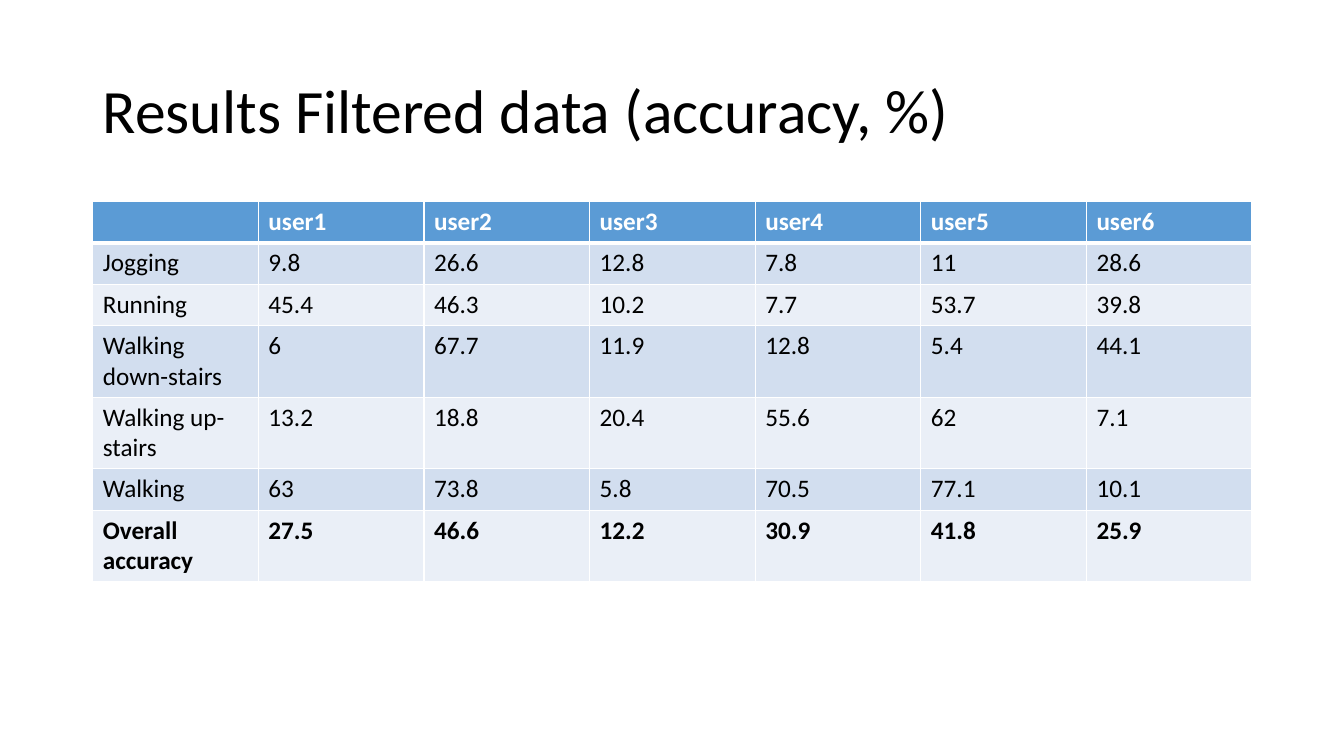
from dataclasses import dataclass

from lxml import etree
from pptx import Presentation
from pptx.dml.color import RGBColor
from pptx.enum.text import MSO_ANCHOR, PP_ALIGN
from pptx.oxml.ns import qn
from pptx.util import Inches, Pt

LEFT = PP_ALIGN.LEFT
MIDDLE = MSO_ANCHOR.MIDDLE
TITLE_ONLY = 5


@dataclass(frozen=True)
class Theme:
    """Colours, font and sizes of the slide."""
    font: str = "Calibri"
    ink: str = "000000"
    white: str = "FFFFFF"
    head: str = "5B9BD5"
    bands: tuple = ("D2DEEF", "EAEFF7")
    title: int = 44
    body: int = 18
    thin: int = 1
    thick: int = 3


THEME = Theme()

ROWS = [
    ["", *(f"user{n}" for n in range(1, 7))],
    ["Jogging", "9.8", "26.6", "12.8", "7.8", "11", "28.6"],
    ["Running", "45.4", "46.3", "10.2", "7.7", "53.7", "39.8"],
    ["Walking down-stairs", "6", "67.7", "11.9", "12.8", "5.4", "44.1"],
    ["Walking up-stairs", "13.2", "18.8", "20.4", "55.6", "62", "7.1"],
    ["Walking", "63", "73.8", "5.8", "70.5", "77.1", "10.1"],
    ["Overall accuracy", "27.5", "46.6", "12.2", "30.9", "41.8", "25.9"],
]


def style(par, size, color, bold=False):
    """Format the runs of a paragraph."""
    par.alignment = LEFT
    for run in par.runs:
        font = run.font
        font.name, font.size, font.bold = THEME.font, Pt(size), bold
        font.color.rgb = RGBColor.from_string(color)


def add_title(slide, text):
    """Place and format the title."""
    title = slide.shapes.title
    title.left, title.top = Inches(0.92), Inches(0.4)
    title.width, title.height = Inches(11.5), Inches(1.45)
    frame = title.text_frame
    frame.text = text
    frame.vertical_anchor = MIDDLE
    par = frame.paragraphs[0]
    par.line_spacing = 0.9
    style(par, THEME.title, THEME.ink)


def set_edges(cell, top, bottom):
    """Draw the white borders of a cell."""
    props = cell._tc.get_or_add_tcPr()
    widths = {"L": THEME.thin, "R": THEME.thin, "T": top, "B": bottom}
    for side, width in widths.items():
        line = etree.SubElement(props, qn(f"a:ln{side}"), w=str(Pt(width)))
        fill = etree.SubElement(line, qn("a:solidFill"))
        etree.SubElement(fill, qn("a:srgbClr"), val=THEME.white)


def fill_cell(cell, text, row):
    """Write one cell in the style of its row."""
    head = row == 0
    set_edges(cell, THEME.thick if row == 1 else THEME.thin,
              THEME.thick if head else THEME.thin)
    cell.fill.solid()
    back = THEME.head if head else THEME.bands[(row - 1) % 2]
    cell.fill.fore_color.rgb = RGBColor.from_string(back)
    cell.text_frame.text = text
    style(cell.text_frame.paragraphs[0], THEME.body,
          THEME.white if head else THEME.ink,
          head or row == len(ROWS) - 1)


def add_grid(slide, rows):
    """Add the table of results."""
    high = Inches(0.41)
    frame = slide.shapes.add_table(
        len(rows), len(rows[0]), Inches(0.92), Inches(2),
        Inches(11.5), high * len(rows))
    table = frame.table
    for r, row in enumerate(rows):
        table.rows[r].height = high
        for c, text in enumerate(row):
            fill_cell(table.cell(r, c), text, r)


def main():
    """Build and save the slide."""
    deck = Presentation()
    deck.slide_width, deck.slide_height = Inches(13.33), Inches(7.5)
    slide = deck.slides.add_slide(deck.slide_layouts[TITLE_ONLY])
    add_title(slide, "Results Filtered data (accuracy, %)")
    add_grid(slide, ROWS)
    deck.save("out.pptx")


if __name__ == "__main__":
    main()
